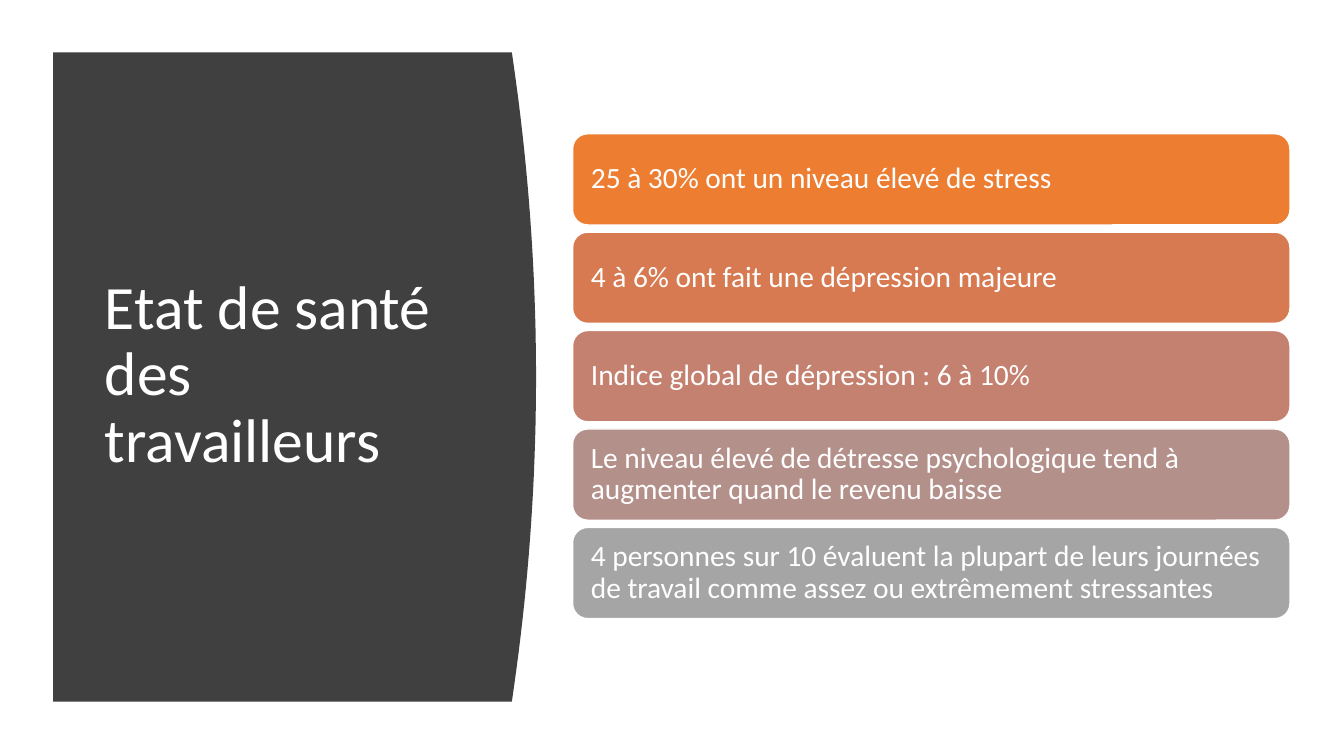
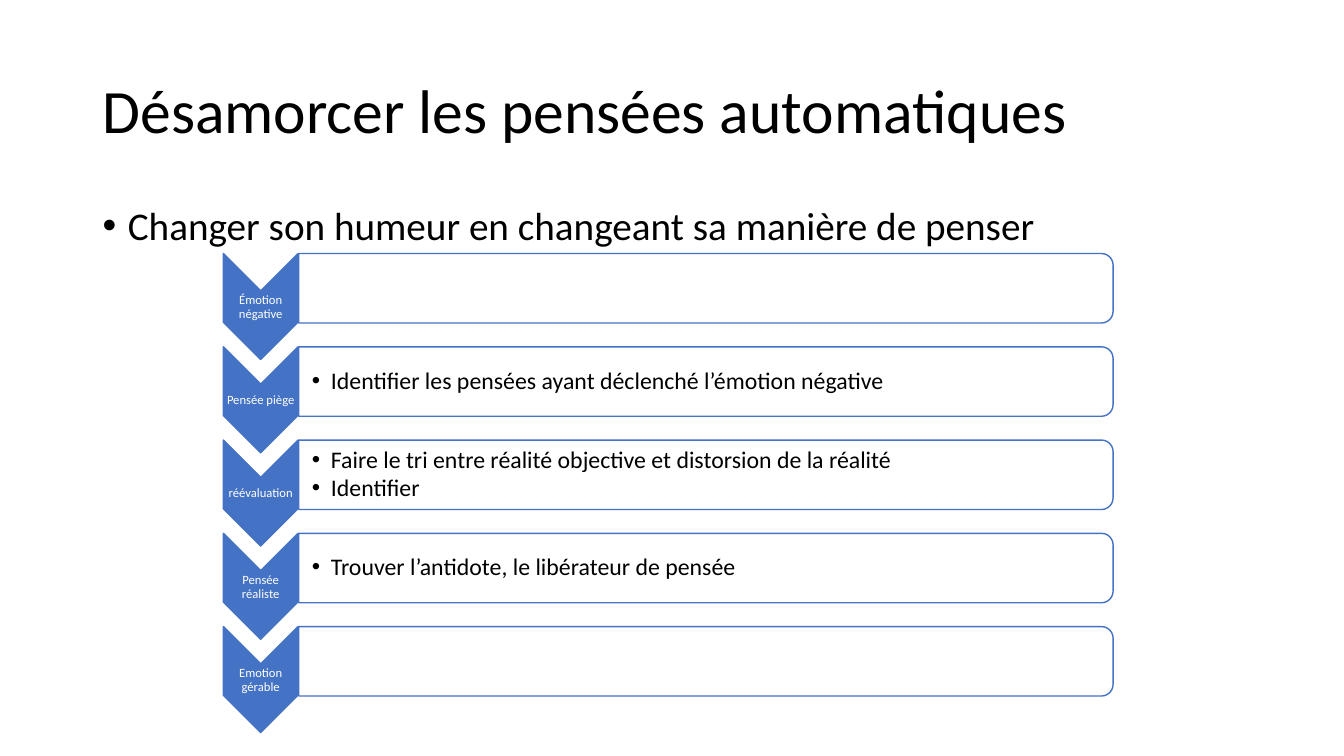
"""Build two slides on workers' health and on defusing automatic thoughts."""
from lxml.etree import SubElement
from pptx import Presentation
from pptx.dml.color import RGBColor
from pptx.enum.shapes import MSO_SHAPE as Shape
from pptx.enum.text import MSO_ANCHOR as Anchor, MSO_AUTO_SIZE as AutoSize, PP_ALIGN as Align
from pptx.oxml.ns import qn
from pptx.util import Cm, Pt

FONT = "Calibri"
COLORS = {"white": "FFFFFF", "black": "000000", "panel": "404040", "blue": "4472C4"}

HEALTH_TITLE = "Etat de santé des travailleurs"
HEALTH_FACTS = [
    ("25 à 30% ont un niveau élevé de stress", "ED7D31"),
    ("4 à 6% ont fait une dépression majeure", "D87A51"),
    ("Indice global de dépression : 6 à 10%", "C48170"),
    ("Le niveau élevé de détresse psychologique tend à augmenter quand le revenu baisse", "B4908B"),
    ("4 personnes sur 10 évaluent la plupart de leurs journées de travail "
     "comme assez ou extrêmement stressantes", "A5A5A5"),
]

THOUGHTS_TITLE = "Désamorcer les pensées automatiques"
THOUGHTS_INTRO = "Changer son humeur en changeant sa manière de penser"
THOUGHT_STEPS = [
    ("Émotion négative", []),
    ("Pensée piège", ["Identifier les pensées ayant déclenché l’émotion négative"]),
    ("réévaluation", ["Faire le tri entre réalité objective et distorsion de la réalité",
                      "Identifier"]),
    ("Pensée réaliste", ["Trouver l’antidote, le libérateur de pensée"]),
    ("Emotion gérable", []),
]


def place(shape, left, top, width, height):
    shape.left, shape.top = Cm(left), Cm(top)
    shape.width, shape.height = Cm(width), Cm(height)


def add_bullet(para, indent):
    properties = para._p.get_or_add_pPr()
    properties.set("marL", str(Cm(indent)))
    properties.set("indent", str(-Cm(indent)))
    SubElement(properties, qn("a:buFont")).set("typeface", "Arial")
    SubElement(properties, qn("a:buChar")).set("char", "•")


def write(shape, lines, size, color, align=Align.LEFT, anchor=Anchor.MIDDLE,
          insets=None, bullet=None, before=0, after=0):
    frame = shape.text_frame
    frame.text = "\n".join(lines)
    frame.word_wrap = True
    frame.auto_size = AutoSize.NONE
    frame.vertical_anchor = anchor
    if insets:
        frame.margin_left, frame.margin_top, frame.margin_right, frame.margin_bottom = map(Cm, insets)
    for para in frame.paragraphs:
        para.alignment = align
        para.line_spacing = 0.9
        para.space_before, para.space_after = Pt(before), Pt(after)
        if bullet:
            add_bullet(para, bullet)
        for span in para.runs:
            span.font.name, span.font.size = FONT, Pt(size)
            span.font.color.rgb = RGBColor.from_string(color)


def paint(shape, fill, line=None):
    shape.shadow.inherit = False
    shape.fill.solid()
    shape.fill.fore_color.rgb = RGBColor.from_string(fill)
    if line:
        shape.line.color.rgb = RGBColor.from_string(line)
        shape.line.width = Pt(1)
    else:
        shape.line.fill.background()


def add_turned(page, kind, left, top, width, height, fill):
    """Add a shape turned a quarter to the right that covers the given area."""
    shape = page.shapes.add_shape(kind, 0, 0, 0, 0)
    place(shape, left + (width - height) / 2, top + (height - width) / 2, height, width)
    shape.rotation = 90
    paint(shape, fill, COLORS["blue"])
    return shape


def add_text(page, area, lines, size, color, **style):
    box = page.shapes.add_textbox(0, 0, 0, 0)
    place(box, *area)
    write(box, lines, size, color, **style)


def add_title(page, text, area, color):
    place(page.shapes.title, *area)
    write(page.shapes.title, [text], 44, color)


def add_panel(page):
    left, edge, bulge, top, bottom, steps = 1.34, 12.9, 0.61, 1.32, 17.68, 40
    builder = page.shapes.build_freeform(Cm(left), Cm(top))
    curve = []
    for step in range(steps + 1):
        ratio = step / steps
        x = edge + bulge * (1 - (2 * ratio - 1) ** 2)
        curve.append((Cm(x), Cm(top + ratio * (bottom - top))))
    builder.add_line_segments(curve + [(Cm(left), Cm(bottom))], close=True)
    panel = builder.convert_to_shape()
    paint(panel, COLORS["panel"])
    page.shapes.title.element.addprevious(panel.element)


def build_health(deck):
    page = deck.slides.add_slide(deck.slide_layouts[5])
    add_title(page, HEALTH_TITLE, (2.39, 2.82, 9.5, 13.31), COLORS["white"])
    add_panel(page)
    for row, (fact, fill) in enumerate(HEALTH_FACTS):
        card = page.shapes.add_shape(Shape.ROUNDED_RECTANGLE, 0, 0, 0, 0)
        place(card, 14.43, 3.37 + row * 2.48, 18.08, 2.3)
        paint(card, fill, COLORS["white"])
        write(card, [fact], 21, COLORS["white"], insets=(0.35, 0.2, 0.35, 0.2))


def build_thoughts(deck):
    page = deck.slides.add_slide(deck.slide_layouts[1])
    add_title(page, THOUGHTS_TITLE, (2.33, 1.01, 29.21, 3.68), COLORS["black"])
    intro = page.placeholders[1]
    place(intro, 2.33, 5.08, 29.21, 12.09)
    write(intro, [THOUGHTS_INTRO], 28, COLORS["black"], anchor=Anchor.TOP, bullet=0.64, before=10)

    for row, (label, actions) in enumerate(THOUGHT_STEPS):
        top = 6.39 + row * 2.35
        bar_area = (7.53, top, 20.52, 1.75)
        add_turned(page, Shape.CHEVRON, 5.63, top, 1.88, 2.67, COLORS["blue"])
        add_text(page, (5.63, top + 0.95, 1.88, 0.81), [label], 9, COLORS["white"],
                 align=Align.CENTER, insets=(0.02,) * 4)
        bar = add_turned(page, Shape.ROUND_2_SAME_RECTANGLE, *bar_area, COLORS["white"])
        fill_color = bar.element.spPr.find(qn("a:solidFill"))[0]
        SubElement(fill_color, qn("a:alpha")).set("val", "90000")
        if actions:
            add_text(page, bar_area, actions, 17, COLORS["black"],
                     insets=(0.33, 0.02, 0.02, 0.02), bullet=0.48, after=2)


def main():
    deck = Presentation()
    deck.slide_width, deck.slide_height = Cm(33.87), Cm(19.05)
    build_health(deck)
    build_thoughts(deck)
    deck.save("out.pptx")


if __name__ == "__main__":
    main()
